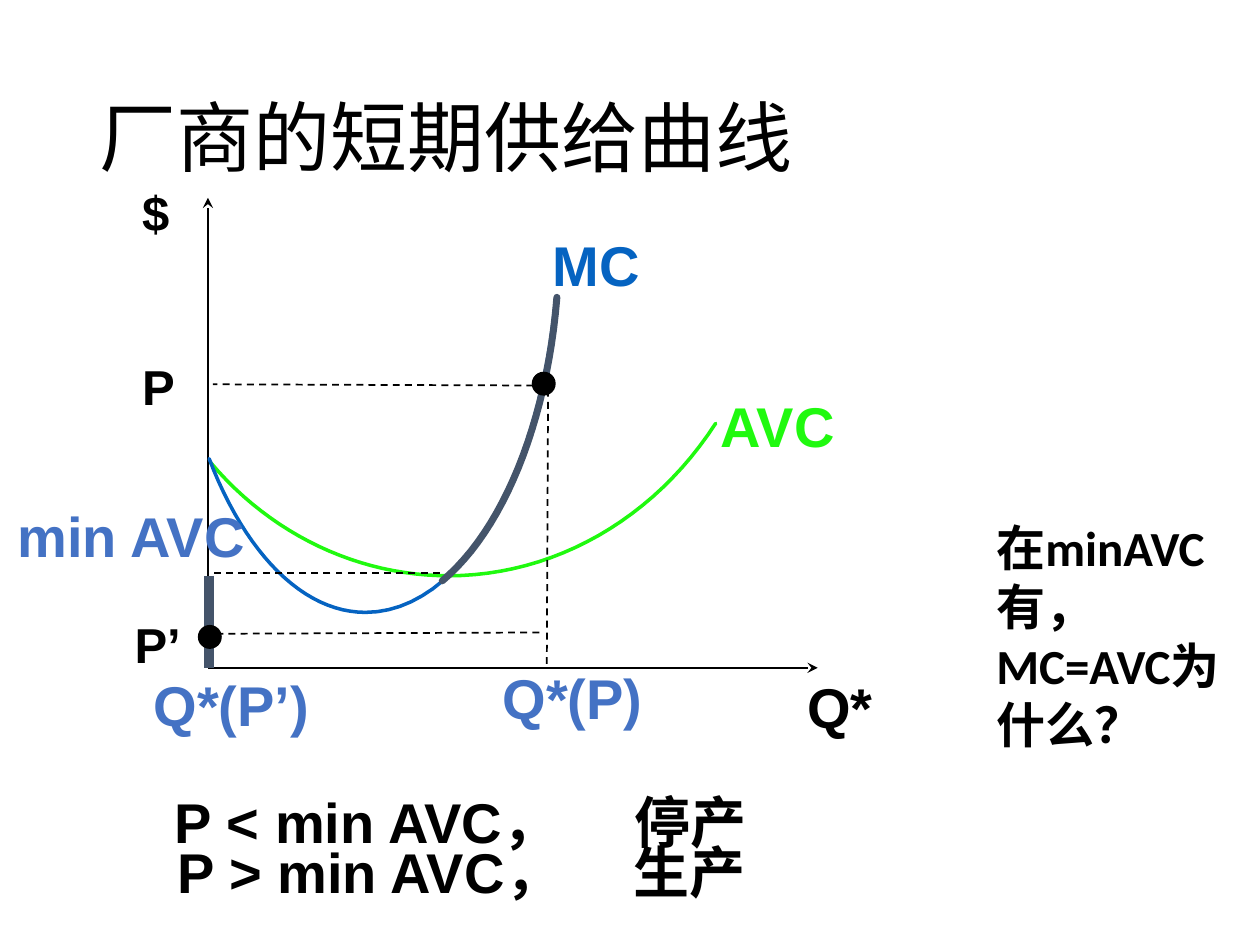
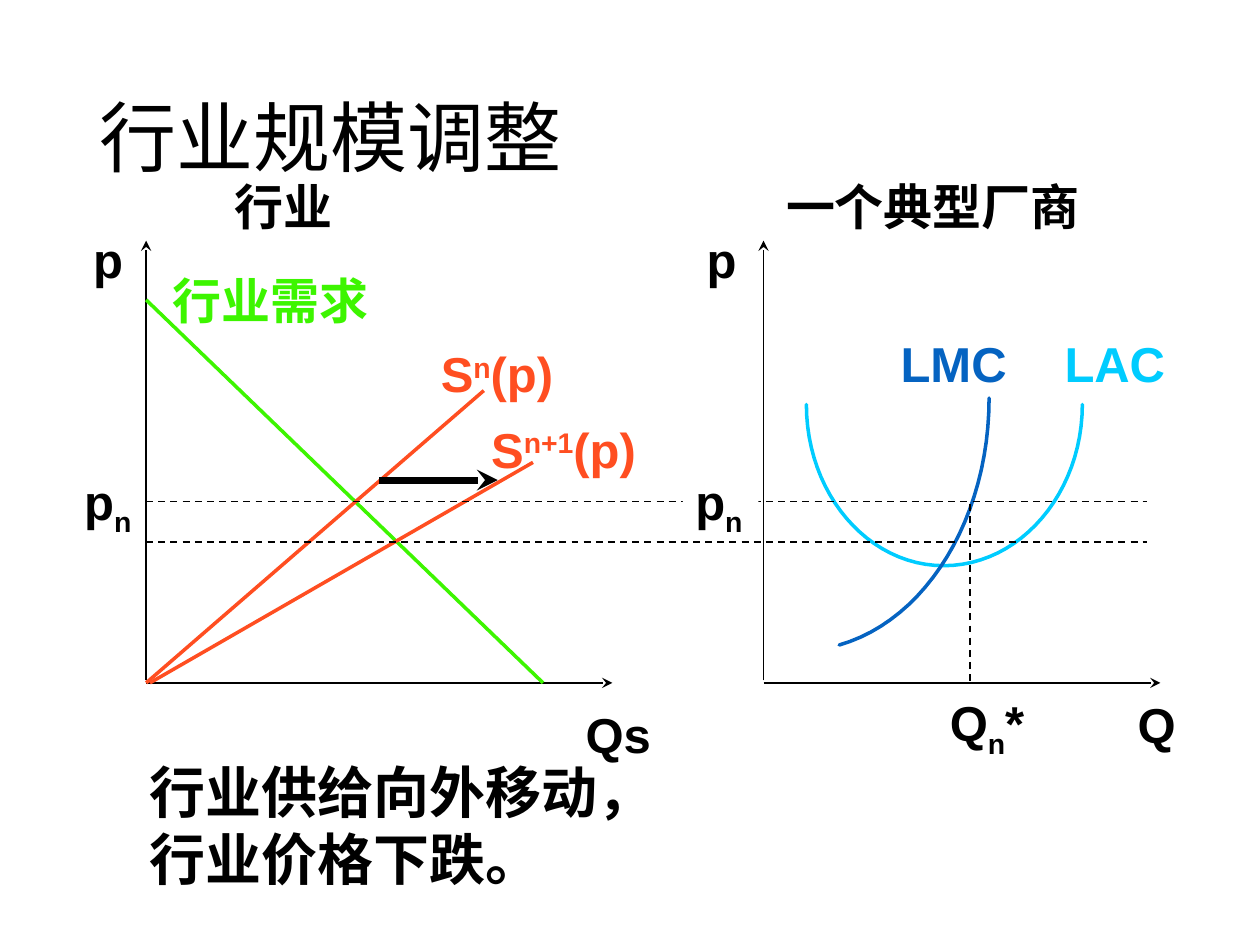
from dataclasses import dataclass
from typing import Optional, Union

from lxml.etree import SubElement
from pptx import Presentation
from pptx.dml.color import RGBColor
from pptx.enum.dml import MSO_LINE
from pptx.enum.lang import MSO_LANGUAGE_ID
from pptx.enum.shapes import MSO_CONNECTOR, MSO_SHAPE
from pptx.enum.text import MSO_ANCHOR, MSO_AUTO_SIZE
from pptx.oxml.ns import qn
from pptx.util import Emu, Inches, Pt

SLIDE_WIDTH = Inches(10)
SLIDE_HEIGHT = Inches(7.5)
COLUMN = SLIDE_WIDTH // 100
ROW = SLIDE_HEIGHT // 75

BLACK = RGBColor(0x00, 0x00, 0x00)
WHITE = RGBColor(0xFF, 0xFF, 0xFF)
BLUE = RGBColor(0x05, 0x63, 0xC1)
SOFT_BLUE = RGBColor(0x44, 0x72, 0xC4)
SLATE = RGBColor(0x44, 0x54, 0x6A)
GREEN = RGBColor(0x20, 0xF9, 0x0F)
DEMAND_GREEN = RGBColor(0x3D, 0xF5, 0x00)
SUPPLY_RED = RGBColor(0xFF, 0x4E, 0x21)
CYAN = RGBColor(0x00, 0xCC, 0xFF)

SUPERSCRIPT = 30
SUBSCRIPT = -25
CURVE_STEPS = 24
DOT_SIZE = 1.9

Point = tuple[float, float]


@dataclass(frozen=True)
class Run:
    text: str
    baseline: int = 0


@dataclass(frozen=True)
class Label:
    column: float
    row: float
    columns: float
    paragraphs: tuple[tuple[Run, ...], ...]
    size: int = 28
    color: RGBColor = BLACK
    wrap: bool = False
    font: str = "Arial"
    bold: bool = True
    lines: int = 1
    rows: Optional[float] = None
    fill: Optional[RGBColor] = None
    anchor: MSO_ANCHOR = MSO_ANCHOR.TOP
    spacing: Optional[float] = None
    tab: Optional[float] = None


@dataclass(frozen=True)
class Line:
    start: Point
    end: Point
    color: RGBColor = BLACK
    width: float = 1
    dashed: bool = False
    arrow: bool = False


@dataclass(frozen=True)
class Curve:
    start: Point
    segments: tuple[tuple[Point, Point, Point], ...]
    color: RGBColor
    width: float = 2


@dataclass(frozen=True)
class Dot:
    column: float
    row: float


Item = Union[Label, Line, Curve, Dot]


def across(columns: float) -> Emu:
    return Emu(round(columns * COLUMN))


def down(rows: float) -> Emu:
    return Emu(round(rows * ROW))


def label(column: float, row: float, columns: float, text: str, **options) -> Label:
    return Label(column, row, columns, ((Run(text),),), **options)


def indexed(column: float, row: float, columns: float, base: str, index: str,
            position: int, ending: str = "", **options) -> Label:
    runs = [Run(base), Run(index, position)] + ([Run(ending)] if ending else [])
    return Label(column, row, columns, (tuple(runs),), **options)


def title(text: str) -> Label:
    return label(6.9, 4, 86.2, text, size=44, font="Calibri", bold=False, wrap=True,
                 rows=14.5, anchor=MSO_ANCHOR.MIDDLE, spacing=0.9)


def axes(left: float, top: float, right: float, base: float) -> list[Line]:
    return [
        Line((left, base - 0.2), (left, top), arrow=True),
        Line((left, base), (right, base), arrow=True),
    ]


def dashed(start: Point, end: Point) -> Line:
    return Line(start, end, dashed=True)


def apply_format(target, values: dict) -> None:
    for name, value in values.items():
        setattr(target, name, value)


def draw_label(slide, item: Label) -> None:
    rows = item.rows or item.size * 0.17 * item.lines + 1
    shape = slide.shapes.add_textbox(
        across(item.column), down(item.row), across(item.columns), down(rows))
    if item.fill is not None:
        shape.fill.solid()
        shape.fill.fore_color.rgb = item.fill
    frame = shape.text_frame
    apply_format(frame, {
        "word_wrap": item.wrap,
        "vertical_anchor": item.anchor,
        "auto_size": MSO_AUTO_SIZE.NONE if item.rows else MSO_AUTO_SIZE.SHAPE_TO_FIT_TEXT,
    })
    for number, runs in enumerate(item.paragraphs):
        paragraph = frame.add_paragraph() if number else frame.paragraphs[0]
        if item.spacing:
            paragraph.line_spacing = item.spacing
        if item.tab:
            stops = SubElement(paragraph._p.get_or_add_pPr(), qn("a:tabLst"))
            SubElement(stops, qn("a:tab"), pos=str(across(item.tab)), algn="l")
        for part in runs:
            run = paragraph.add_run()
            run.text = part.text
            apply_format(run.font, {
                "name": item.font,
                "size": Pt(item.size),
                "bold": item.bold,
                "language_id": MSO_LANGUAGE_ID.SIMPLIFIED_CHINESE,
            })
            run.font.color.rgb = item.color
            if part.baseline:
                run._r.get_or_add_rPr().set("baseline", str(part.baseline * 1000))


def draw_line(slide, item: Line) -> None:
    connector = slide.shapes.add_connector(
        MSO_CONNECTOR.STRAIGHT,
        across(item.start[0]), down(item.start[1]),
        across(item.end[0]), down(item.end[1]))
    connector.line.color.rgb = item.color
    connector.line.width = Pt(item.width)
    if item.dashed:
        connector.line.dash_style = MSO_LINE.DASH
    properties = connector._element.spPr
    if item.arrow:
        SubElement(properties.find(qn("a:ln")), qn("a:tailEnd"), type="stealth")
    SubElement(properties, qn("a:effectLst"))


def bezier(points: tuple[Point, ...], share: float) -> Point:
    rest = 1 - share
    weights = (rest ** 3, 3 * rest ** 2 * share, 3 * rest * share ** 2, share ** 3)
    return (sum(weight * point[0] for weight, point in zip(weights, points)),
            sum(weight * point[1] for weight, point in zip(weights, points)))


def draw_curve(slide, item: Curve) -> None:
    vertices: list[Point] = []
    start = item.start
    for segment in item.segments:
        vertices += [bezier((start, *segment), step / CURVE_STEPS)
                     for step in range(1, CURVE_STEPS + 1)]
        start = segment[-1]
    builder = slide.shapes.build_freeform(across(item.start[0]), down(item.start[1]))
    builder.add_line_segments([(across(x), down(y)) for x, y in vertices], close=False)
    shape = builder.convert_to_shape()
    shape.shadow.inherit = False
    shape.fill.background()
    shape.line.color.rgb = item.color
    shape.line.width = Pt(item.width)
    shape._element.spPr.find(qn("a:ln")).set("cap", "rnd")


def draw_dot(slide, item: Dot) -> None:
    shape = slide.shapes.add_shape(
        MSO_SHAPE.OVAL, across(item.column), down(item.row),
        across(DOT_SIZE), down(DOT_SIZE))
    shape.shadow.inherit = False
    shape.fill.solid()
    shape.fill.fore_color.rgb = BLACK
    shape.line.fill.background()


DRAWERS = {Label: draw_label, Line: draw_line, Curve: draw_curve, Dot: draw_dot}

SHORT_RUN_SUPPLY: list[Item] = [
    title("厂商的短期供给曲线"),
    *axes(16.5, 15.7, 64.9, 53),
    Curve((56.8, 33.6), (((51.9, 41.2), (44, 45.7), (35.6, 45.7)),
                         ((28.5, 45.7), (21.6, 42.5), (16.7, 36.7))), GREEN),
    Curve((44.1, 23.7), (((42.8, 38.1), (36.5, 48.6), (29, 48.6)),
                         ((24.1, 48.6), (19.5, 44), (16.6, 36.4))), BLUE),
    label(56.2, 30.6, 11.2, "AVC", size=32, color=GREEN),
    label(42.9, 17.8, 9, "MC", size=32, color=BLUE),
    dashed((34.9, 45.5), (16.5, 45.5)),
    Curve((44.2, 23.6), (((43.4, 33.6), (39.9, 42.1), (35.1, 46.1)),), SLATE, 4),
    Line((16.6, 45.7), (16.6, 53), SLATE, 6),
    label(10.3, 14, 4.2, "$", wrap=True),
    label(63.1, 52.9, 7.3, "Q*", size=32),
    label(0.4, 39.3, 21, "min AVC", size=32, color=SOFT_BLUE, wrap=True),
    dashed((42.8, 50.2), (16.7, 50.3)),
    dashed((43.3, 30.6), (16.9, 30.5)),
    label(10.3, 27.8, 4, "P", wrap=True),
    label(9.7, 48.3, 6.8, "P’", wrap=True),
    label(38.9, 52.2, 14.5, "Q*(P)", size=32, color=SOFT_BLUE),
    label(11.2, 52.7, 15.7, "Q*(P’)", size=32, color=SOFT_BLUE),
    dashed((43.4, 52.7), (43.5, 30.4)),
    Dot(42.2, 29.5),
    Dot(15.7, 49.6),
    label(13.1, 66, 48.7, "P > min AVC，\t生产", size=32, wrap=True, tab=36.2),
    label(78.1, 40.6, 21.6, "在minAVC有，MC=AVC为什么？", font="Calibri",
          wrap=True, lines=4),
    label(12.9, 62, 47.9, "P < min AVC，\t停产", size=32, wrap=True, tab=36.5),
]

INDUSTRY_SIZE: list[Item] = [
    title("行业规模调整"),
    *axes(11.6, 19.1, 48.6, 54.2),
    *axes(60.6, 19.1, 92.1, 54.2),
    Curve((85.9, 32.1), (((85.9, 39.1), (81, 44.9), (74.9, 44.9)),
                         ((68.9, 44.9), (64, 39.2), (64, 32.1))), CYAN),
    Curve((78.5, 31.6), (((78.5, 41), (73.6, 49.2), (66.6, 51.2)),), BLUE),
    Line((11.6, 23.8), (43.1, 54.2), DEMAND_GREEN, 2),
    Line((11.6, 54.2), (38.4, 31), SUPPLY_RED, 2),
    Line((11.9, 54.2), (42.3, 36.7), SUPPLY_RED, 2),
    indexed(34, 26.8, 11.3, "S", "n", SUPERSCRIPT, "(p)", color=SUPPLY_RED),
    indexed(38, 32.8, 14.3, "S", "n+1", SUPERSCRIPT, "(p)", color=SUPPLY_RED),
    label(12.7, 21, 17.6, "行业需求", color=DEMAND_GREEN),
    label(83.5, 26, 10.1, "LAC", color=CYAN),
    label(70.5, 26, 10.6, "LMC", color=BLUE),
    label(89.3, 54.6, 5.1, "Q"),
    label(61.4, 13.5, 25.7, "一个典型厂商"),
    label(17.6, 13.5, 9.9, "行业"),
    label(6.4, 17.7, 4.4, "p"),
    label(55.1, 17.7, 4.4, "p"),
    label(45.5, 55.4, 7.3, "Qs"),
    dashed((11.6, 39.8), (91, 39.8)),
    Line((30.1, 38.1), (39.5, 38.1), width=4, arrow=True),
    indexed(5.7, 36.9, 6, "p", "n", SUBSCRIPT),
    indexed(54.2, 36.9, 6, "p", "n", SUBSCRIPT, fill=WHITE),
    Label(10.9, 59.6, 42.6, ((Run("行业供给向外移动，"),), (Run("行业价格下跌。"),)),
          size=32, lines=2),
    dashed((77, 40), (77, 54.4)),
    indexed(74.4, 54.5, 8.2, "Q", "n", SUBSCRIPT, "*"),
    dashed((11.6, 43), (91, 43)),
]


def main() -> None:
    presentation = Presentation()
    apply_format(presentation, {"slide_width": SLIDE_WIDTH, "slide_height": SLIDE_HEIGHT})
    for items in (SHORT_RUN_SUPPLY, INDUSTRY_SIZE):
        slide = presentation.slides.add_slide(presentation.slide_layouts[6])
        for item in items:
            DRAWERS[type(item)](slide, item)
    presentation.save("out.pptx")


if __name__ == "__main__":
    main()
